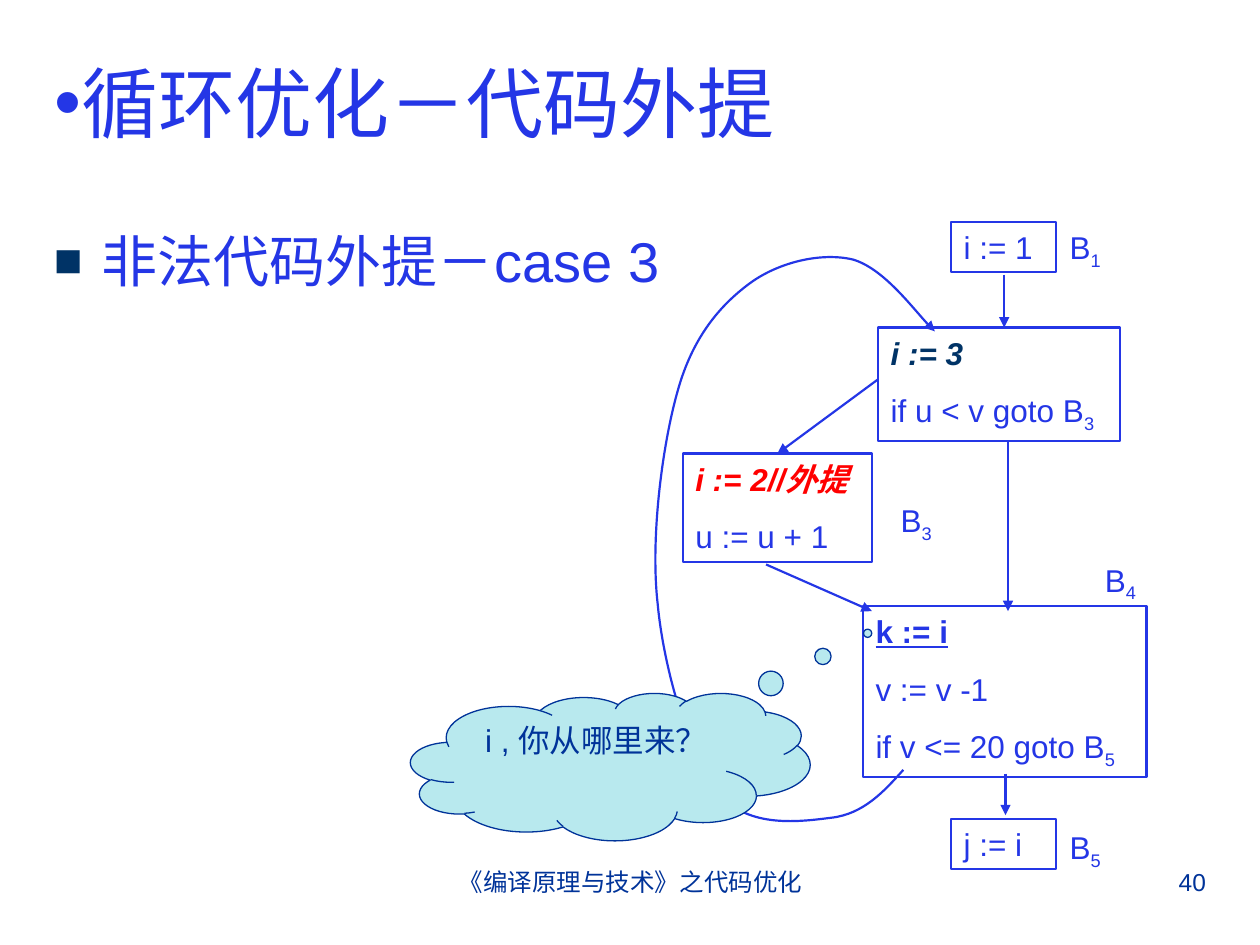
from lxml import etree
from pptx import Presentation
from pptx.dml.color import RGBColor
from pptx.enum.shapes import MSO_CONNECTOR, MSO_SHAPE
from pptx.enum.text import MSO_ANCHOR, PP_ALIGN
from pptx.oxml.ns import qn
from pptx.util import Inches, Pt

BLUE = RGBColor(0x24, 0x36, 0xE6)
NAVY = RGBColor(0x00, 0x33, 0x66)
DEEP_BLUE = RGBColor(0x00, 0x33, 0x99)
RED = RGBColor(0xFF, 0x00, 0x00)
PALE_CYAN = RGBColor(0xB8, 0xE9, 0xEE)
FONT = "Arial"

RECT, CLOUD = MSO_SHAPE.RECTANGLE, MSO_SHAPE.CLOUD_CALLOUT
STRAIGHT = MSO_CONNECTOR.STRAIGHT
TOP, MIDDLE = MSO_ANCHOR.TOP, MSO_ANCHOR.MIDDLE
LEFT, CENTER, RIGHT = PP_ALIGN.LEFT, PP_ALIGN.CENTER, PP_ALIGN.RIGHT

# Left, top, width, height, then one (text, format) pair per line
BLOCKS = [
    (7.55, 1.76, 0.83, 0.4, [("i := 1", {})]),
    (6.97, 2.6, 1.92, 0.9, [("i := 3", dict(color=NAVY, bold=True, italic=True)),
                            ("if u < v goto B_3", {})]),
    (5.42, 3.6, 1.5, 0.86, [("i := 2//外提", dict(color=RED, bold=True, italic=True)),
                            ("u := u + 1", {})]),
    (6.85, 4.81, 2.25, 1.36, [("k := i", dict(bold=True, underline=True)),
                              ("v := v -1", {}),
                              ("if v <= 20 goto B_5", {})]),
    (7.55, 6.5, 0.83, 0.4, [("j := i", {})]),
]
LABELS = [("B_1", 8.39, 1.76), ("B_3", 7.05, 3.93), ("B_4", 8.67, 4.4), ("B_5", 8.39, 6.52)]
ARROWS = [
    (7.97, 2.18, 7.97, 2.6),
    (6.97, 3.01, 6.17, 3.6),
    (6.08, 4.48, 6.92, 4.85),
    (7.98, 6.14, 7.98, 6.47),
    (8, 3.51, 8, 4.85),
]
# Start point, then three Bezier points per segment
BACK_EDGE = [
    (7.17, 6.11),
    (7.01, 6.29), (6.85, 6.46), (6.6, 6.49),
    (6.36, 6.52), (5.94, 6.58), (5.71, 6.3),
    (5.48, 6.02), (5.27, 5.33), (5.22, 4.79),
    (5.16, 4.26), (5.26, 3.52), (5.38, 3.1),
    (5.5, 2.67), (5.72, 2.42), (5.95, 2.25),
    (6.18, 2.08), (6.52, 2), (6.77, 2.06),
    (7.01, 2.13), (7.31, 2.53), (7.42, 2.63),
]


def write(p, text, size=18, color=BLUE, bold=False, italic=False,
          underline=False, align=LEFT, before=0):
    """Fill a paragraph; what follows an underscore becomes a subscript."""
    p.alignment = align
    p.space_before = Pt(before)
    base, _, sub = text.partition("_")
    for part in filter(None, (base, sub)):
        r = p.add_run()
        r.text = part
        f = r.font
        f.name, f.size, f.color.rgb = FONT, Pt(size), color
        f.bold, f.italic, f.underline = bold, italic, underline
    if sub:
        r.font._element.set("baseline", "-25000")


def set_bullet(p, char, color, percent=100, hang=0):
    pPr = p._p.get_or_add_pPr()
    pPr.set("marL", str(Inches(hang)))
    pPr.set("indent", str(-Inches(hang)))
    clr = etree.SubElement(pPr, qn("a:buClr"))
    etree.SubElement(clr, qn("a:srgbClr"), val=str(color))
    etree.SubElement(pPr, qn("a:buSzPct"), val=str(percent * 1000))
    etree.SubElement(pPr, qn("a:buFont"), typeface=FONT)
    etree.SubElement(pPr, qn("a:buChar"), char=char)


def add_text(slide, x, y, w, h):
    tf = slide.shapes.add_textbox(*map(Inches, (x, y, w, h))).text_frame
    tf.word_wrap = True
    return tf


def add_title(slide, text):
    s = slide.shapes.title
    s.left, s.top, s.width, s.height = map(Inches, (0.33, 0.25, 9.34, 1.12))
    tf = s.text_frame
    tf.vertical_anchor = MIDDLE
    set_bullet(tf.paragraphs[0], "•", BLUE)
    write(tf.paragraphs[0], text, size=44)


def add_block(slide, x, y, w, h, lines):
    s = slide.shapes.add_shape(RECT, *map(Inches, (x, y, w, h)))
    s.shadow.inherit = False
    s.fill.background()
    s.line.color.rgb, s.line.width = BLUE, Pt(1.25)
    tf = s.text_frame
    tf.word_wrap, tf.vertical_anchor = True, TOP
    tf.margin_right = Inches(0.05)
    for i, (text, fmt) in enumerate(lines):
        p = tf.add_paragraph() if i else tf.paragraphs[0]
        write(p, text, before=11.2 if i else 0, **fmt)


def style_arrow(s):
    s.line.color.rgb, s.line.width = BLUE, Pt(1.25)
    etree.SubElement(s.line._get_or_add_ln(), qn("a:tailEnd"), type="triangle")


def add_arrow(slide, x1, y1, x2, y2):
    s = slide.shapes.add_connector(STRAIGHT, *map(Inches, (x1, y1, x2, y2)))
    style_arrow(s)
    etree.SubElement(s._element.spPr, qn("a:effectLst"))


def add_curve(slide, points):
    """Draw a polygon through all points, then turn each three lines into a Bezier."""
    (x, y), *rest = [(Inches(px), Inches(py)) for px, py in points]
    builder = slide.shapes.build_freeform(x, y)
    builder.add_line_segments(rest, close=False)
    s = builder.convert_to_shape()
    s.fill.background()
    style_arrow(s)
    s.shadow.inherit = False
    path = next(s._element.iter(qn("a:path")))
    path.set("fill", "none")
    lines = path.findall(qn("a:lnTo"))
    for i in range(0, len(lines), 3):
        curve = etree.SubElement(path, qn("a:cubicBezTo"))
        for line in lines[i:i + 3]:
            curve.append(line[0])
            path.remove(line)


def add_cloud(slide, text):
    s = slide.shapes.add_shape(CLOUD, *map(Inches, (3.26, 5.5, 3.17, 1.17)))
    s.adjustments[0], s.adjustments[1] = 0.644, -0.905
    s.shadow.inherit = False
    s.fill.solid()
    s.fill.fore_color.rgb = PALE_CYAN
    s.line.color.rgb, s.line.width = DEEP_BLUE, Pt(0.75)
    s.text_frame.vertical_anchor = TOP
    write(s.text_frame.paragraphs[0], text, color=DEEP_BLUE, align=CENTER)


def main():
    prs = Presentation()
    prs.slide_width, prs.slide_height = Inches(10), Inches(7.5)
    slide = prs.slides.add_slide(prs.slide_layouts[5])

    footer = add_text(slide, 3.42, 6.83, 3.17, 0.52)
    write(footer.paragraphs[0], "《编译原理与技术》之代码优化", size=14, color=DEEP_BLUE, align=CENTER)
    number = add_text(slide, 7.17, 6.83, 2.5, 0.52)
    write(number.paragraphs[0], "40", size=14, color=DEEP_BLUE, align=RIGHT)

    add_title(slide, "循环优化－代码外提")
    body = add_text(slide, 0.33, 1.75, 9.34, 4.92).paragraphs[0]
    set_bullet(body, "■", NAVY, percent=85, hang=0.38)
    write(body, "非法代码外提－case 3", size=32)

    for block in BLOCKS:
        add_block(slide, *block)
    for text, x, y in LABELS:
        write(add_text(slide, x, y, 0.83, 0.44).paragraphs[0], text)
    for arrow in ARROWS:
        add_arrow(slide, *arrow)
    add_curve(slide, BACK_EDGE)
    add_cloud(slide, "i , 你从哪里来？")
    prs.save("out.pptx")


if __name__ == "__main__":
    main()
